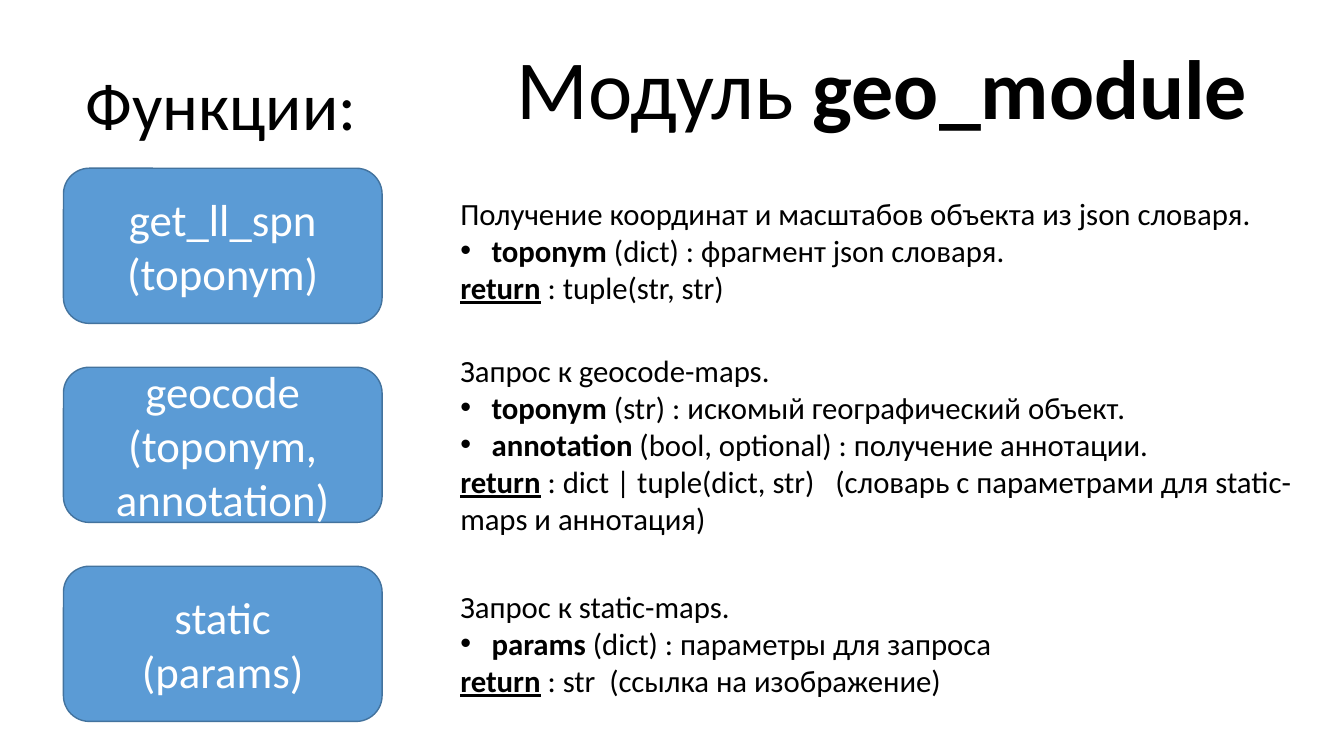
from lxml import etree
from pptx import Presentation
from pptx.dml.color import RGBColor
from pptx.enum import shapes, text
from pptx.oxml.ns import qn
from pptx.util import Cm, Pt

BLACK = RGBColor(0x00, 0x00, 0x00)
WHITE = RGBColor(0xFF, 0xFF, 0xFF)
BLUE = RGBColor(0x5B, 0x9B, 0xD5)
DARK_BLUE = RGBColor(0x43, 0x73, 0x9E)

FIRST_TOP, BOX_STEP = 4.24, 5.015

FUNCTIONS = [
    (["get_ll_spn", "(toponym)"], 4.78, 3.07,
     "Получение координат и масштабов объекта из json словаря.",
     [("toponym", " (dict) : фрагмент json словаря.")],
     " : tuple(str, str)"),
    (["geocode", "(toponym, annotation)"], 8.74, 4.95,
     "Запрос к geocode-maps.",
     [("toponym", " (str) : искомый географический объект."),
      ("annotation", " (bool, optional) : получение аннотации.")],
     " : dict | tuple(dict, str)   (словарь с параметрами для static-maps и аннотация)"),
    (["static", "(params)"], 14.68, 3.07,
     "Запрос к static-maps.",
     [("params", " (dict) : параметры для запроса")],
     " : str  (ссылка на изображение)"),
]


def add_run(p, content, size=22, color=BLACK, bold=False, underline=False):
    r = p.add_run()
    r.text = content
    r.font.name = "Calibri"
    r.font.size = Pt(size)
    r.font.color.rgb = color
    r.font.bold = bold
    r.font.underline = underline


def add_bullet(p):
    pPr = p._p.get_or_add_pPr()
    pPr.set("marL", str(Cm(0.79)))
    pPr.set("indent", str(-Cm(0.79)))
    etree.SubElement(pPr, qn("a:buFont"), typeface="Arial")
    etree.SubElement(pPr, qn("a:buChar"), char="•")


def set_title(s):
    sp = s.shapes.title
    sp.left, sp.top, sp.width, sp.height = Cm(12.65), Cm(0.84), Cm(19.15), Cm(2.95)
    tf = sp.text_frame
    tf.vertical_anchor = text.MSO_ANCHOR.MIDDLE
    p = tf.paragraphs[0]
    p.alignment = text.PP_ALIGN.CENTER
    p.line_spacing = 0.9
    add_run(p, "Модуль ", size=60)
    add_run(p, "geo_module", size=60, bold=True)


def add_text_box(s, left, top, width, height, wrap=True):
    tf = s.shapes.add_textbox(Cm(left), Cm(top), Cm(width), Cm(height)).text_frame
    tf.word_wrap = wrap
    tf.auto_size = text.MSO_AUTO_SIZE.SHAPE_TO_FIT_TEXT
    return tf


def add_function_box(s, top, lines):
    sp = s.shapes.add_shape(shapes.MSO_SHAPE.ROUNDED_RECTANGLE,
                            Cm(1.6), Cm(top), Cm(8.03), Cm(3.91))
    sp.shadow.inherit = False
    sp.fill.solid()
    sp.fill.fore_color.rgb = BLUE
    sp.line.color.rgb = DARK_BLUE
    sp.line.width = Pt(1)
    tf = sp.text_frame
    tf.word_wrap = True
    tf.vertical_anchor = text.MSO_ANCHOR.MIDDLE
    for i, line in enumerate(lines):
        p = tf.add_paragraph() if i else tf.paragraphs[0]
        p.alignment = text.PP_ALIGN.CENTER
        add_run(p, line, size=32, color=WHITE)


def add_description(s, top, height, summary, params, result):
    tf = add_text_box(s, 11.35, top, 21.74, height)
    add_run(tf.paragraphs[0], summary)
    for name, meaning in params:
        p = tf.add_paragraph()
        add_bullet(p)
        add_run(p, name, bold=True)
        add_run(p, meaning)
    p = tf.add_paragraph()
    add_run(p, "return", bold=True, underline=True)
    add_run(p, result)


def main():
    prs = Presentation()
    prs.slide_width, prs.slide_height = Cm(33.87), Cm(19.05)
    s = prs.slides.add_slide(prs.slide_layouts[5])
    set_title(s)
    tf = add_text_box(s, 1.9, 1.47, 7.42, 2.31, wrap=False)
    add_run(tf.paragraphs[0], "Функции:", size=48)
    for i, (lines, *_) in enumerate(FUNCTIONS):
        add_function_box(s, FIRST_TOP + i * BOX_STEP, lines)
    for _, *description in FUNCTIONS:
        add_description(s, *description)
    prs.save("out.pptx")


if __name__ == "__main__":
    main()
